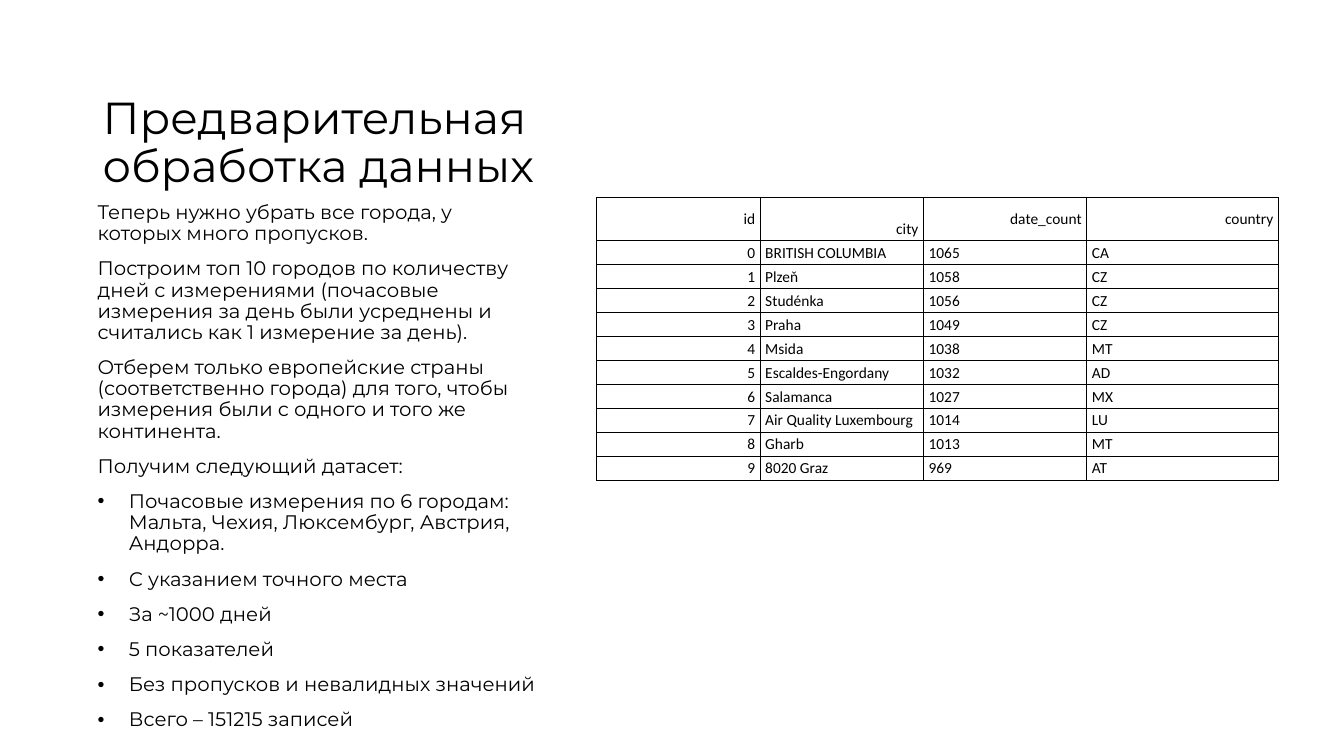
"""Build a slide about data preprocessing with a table of cities."""
from lxml import etree
from pptx import Presentation
from pptx import util as u
from pptx.dml.color import RGBColor
from pptx.enum import text
from pptx.oxml.ns import qn

BLACK = RGBColor(0, 0, 0)
WIDTH, HEIGHT = 13.33, 7.5

TITLE = "Предварительная обработка данных"
PARAGRAPHS = [
    "Теперь нужно убрать все города, у которых много пропусков.",
    "Построим топ 10 городов по количеству дней с измерениями (почасовые измерения "
    "за день были усреднены и считались как 1 измерение за день).",
    "Отберем только европейские страны (соответственно города) для того, чтобы "
    "измерения были с одного и того же континента.",
    "Получим следующий датасет:",
]
BULLETS = [
    "Почасовые измерения по 6 городам: Мальта, Чехия, Люксембург, Австрия, Андорра.",
    "С указанием точного места",
    "За ~1000 дней",
    "5 показателей",
    "Без пропусков и невалидных значений",
    "Всего – 151215 записей",
]
HEADER = ("id", "\ncity", "date_count", "country")
CITIES = [
    ("BRITISH COLUMBIA", 1065, "CA"),
    ("Plzeň", 1058, "CZ"),
    ("Studénka", 1056, "CZ"),
    ("Praha", 1049, "CZ"),
    ("Msida", 1038, "MT"),
    ("Escaldes-Engordany", 1032, "AD"),
    ("Salamanca", 1027, "MX"),
    ("Air Quality Luxembourg", 1014, "LU"),
    ("Gharb", 1013, "MT"),
    ("8020 Graz", 969, "AT"),
]

TITLE_BOX = (0.92, 0.21, 4.5, 1.75)
BODY_BOX = (0.87, 1.96, 4.59, 5.13)
TABLE_BOX = (5.92, 1.96, 6.75, 2.81)
COLUMN_WIDTHS = (1.62, 1.62, 1.62, 1.9)
HEADER_HEIGHT = 0.43


def write(paragraph, content, size, font="Montserrat", align=None, spacing=None,
          before=None, bullet=False):
    """Fill a paragraph with formatted text."""
    paragraph.text = content
    paragraph.alignment = align
    paragraph.line_spacing = spacing
    paragraph.space_before = None if before is None else u.Pt(before)
    for run in paragraph.runs:
        run.font.size = u.Pt(size)
        run.font.name = font
        run.font.color.rgb = BLACK
    for line_break in paragraph._p.findall(qn("a:br")):
        etree.SubElement(line_break, qn("a:rPr"), sz=str(size * 100))
    if bullet:
        properties = paragraph._p.get_or_add_pPr()
        indent = u.Inches(0.31)
        properties.set("marL", str(indent))
        properties.set("indent", str(-indent))
        etree.SubElement(properties, qn("a:buFont"), typeface="Arial")
        etree.SubElement(properties, qn("a:buChar"), char="•")


def add_text_frame(slide, box, anchor):
    """Add a wrapping text box and return its frame."""
    frame = slide.shapes.add_textbox(*map(u.Inches, box)).text_frame
    frame.word_wrap = True
    frame.vertical_anchor = anchor
    return frame


def add_borders(cell):
    """Draw a thin black line on each side of a cell."""
    properties = cell._tc.get_or_add_tcPr()
    for position, side in enumerate(("lnL", "lnR", "lnT", "lnB")):
        line = etree.Element(qn(f"a:{side}"), w=str(u.Pt(1)))
        fill = etree.SubElement(line, qn("a:solidFill"))
        etree.SubElement(fill, qn("a:srgbClr"), val=str(BLACK))
        properties.insert(position, line)


def add_city_table(slide):
    """Add the table of cities with the most measured days."""
    rows = [HEADER] + [(number, *city) for number, city in enumerate(CITIES)]
    table = slide.shapes.add_table(
        len(rows), len(HEADER), *map(u.Inches, TABLE_BOX)).table
    table.first_row = table.horz_banding = False
    row_height = (TABLE_BOX[3] - HEADER_HEIGHT) / len(CITIES)
    for column, width in zip(table.columns, COLUMN_WIDTHS):
        column.width = u.Inches(width)
    for i, values in enumerate(rows):
        table.rows[i].height = u.Inches(row_height if i else HEADER_HEIGHT)
        for j, value in enumerate(values):
            cell = table.cell(i, j)
            cell.margin_left = cell.margin_right = u.Inches(0.05)
            cell.margin_top = cell.margin_bottom = u.Inches(0.02)
            cell.vertical_anchor = text.MSO_ANCHOR.MIDDLE
            cell.fill.background()
            add_borders(cell)
            align = text.PP_ALIGN.LEFT if i and j else text.PP_ALIGN.RIGHT
            write(cell.text_frame.paragraphs[0], str(value), 11, font="Calibri", align=align)


def main():
    """Build and save the slide."""
    presentation = Presentation()
    presentation.slide_width, presentation.slide_height = u.Inches(WIDTH), u.Inches(HEIGHT)
    slide = presentation.slides.add_slide(presentation.slide_layouts[6])

    title = add_text_frame(slide, TITLE_BOX, text.MSO_ANCHOR.BOTTOM)
    write(title.paragraphs[0], TITLE, 32, spacing=0.9)

    body = add_text_frame(slide, BODY_BOX, text.MSO_ANCHOR.TOP)
    for i, content in enumerate(PARAGRAPHS + BULLETS):
        paragraph = body.add_paragraph() if i else body.paragraphs[0]
        write(paragraph, content, 14, spacing=0.9, before=10, bullet=i >= len(PARAGRAPHS))

    add_city_table(slide)
    presentation.save("out.pptx")


if __name__ == "__main__":
    main()
